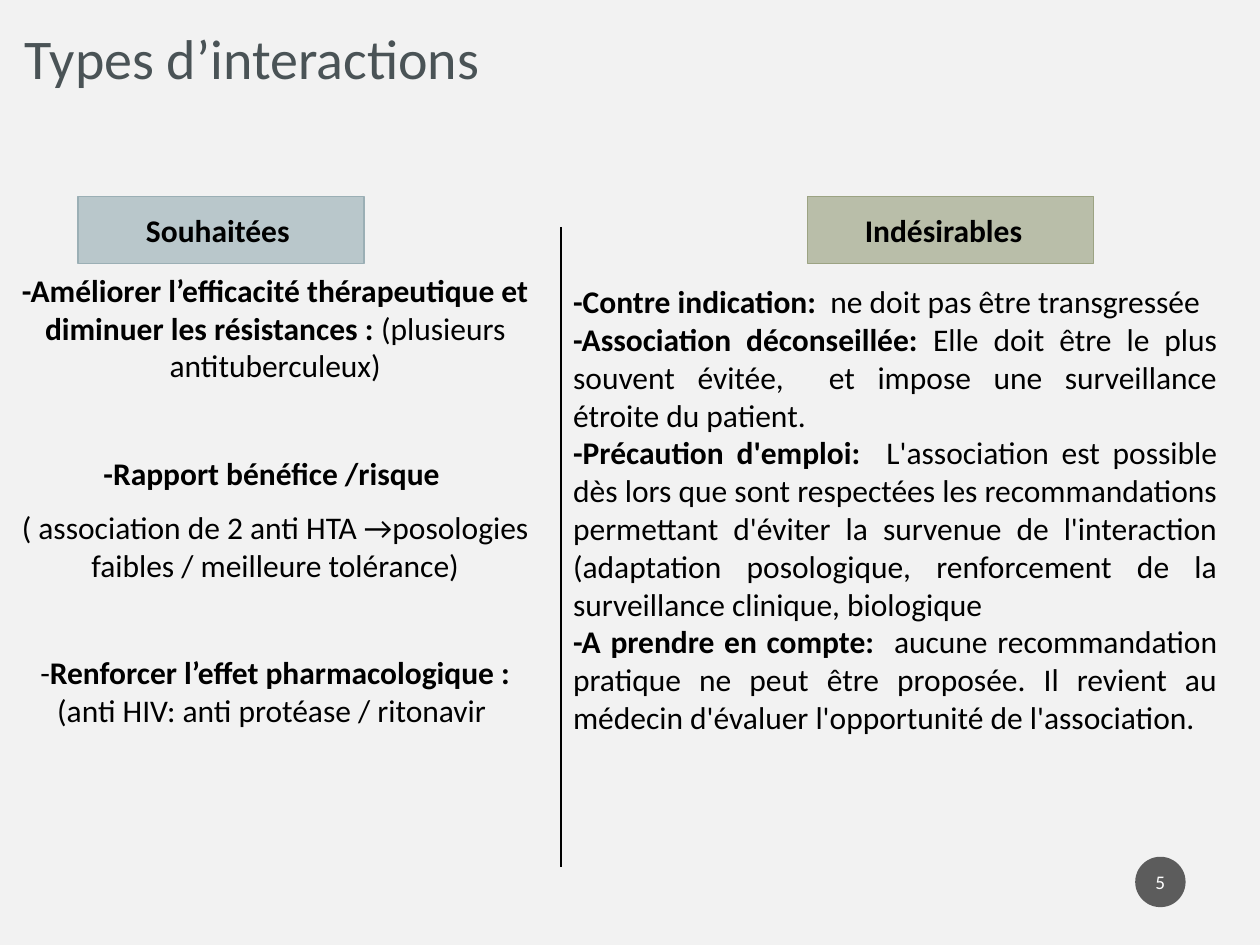
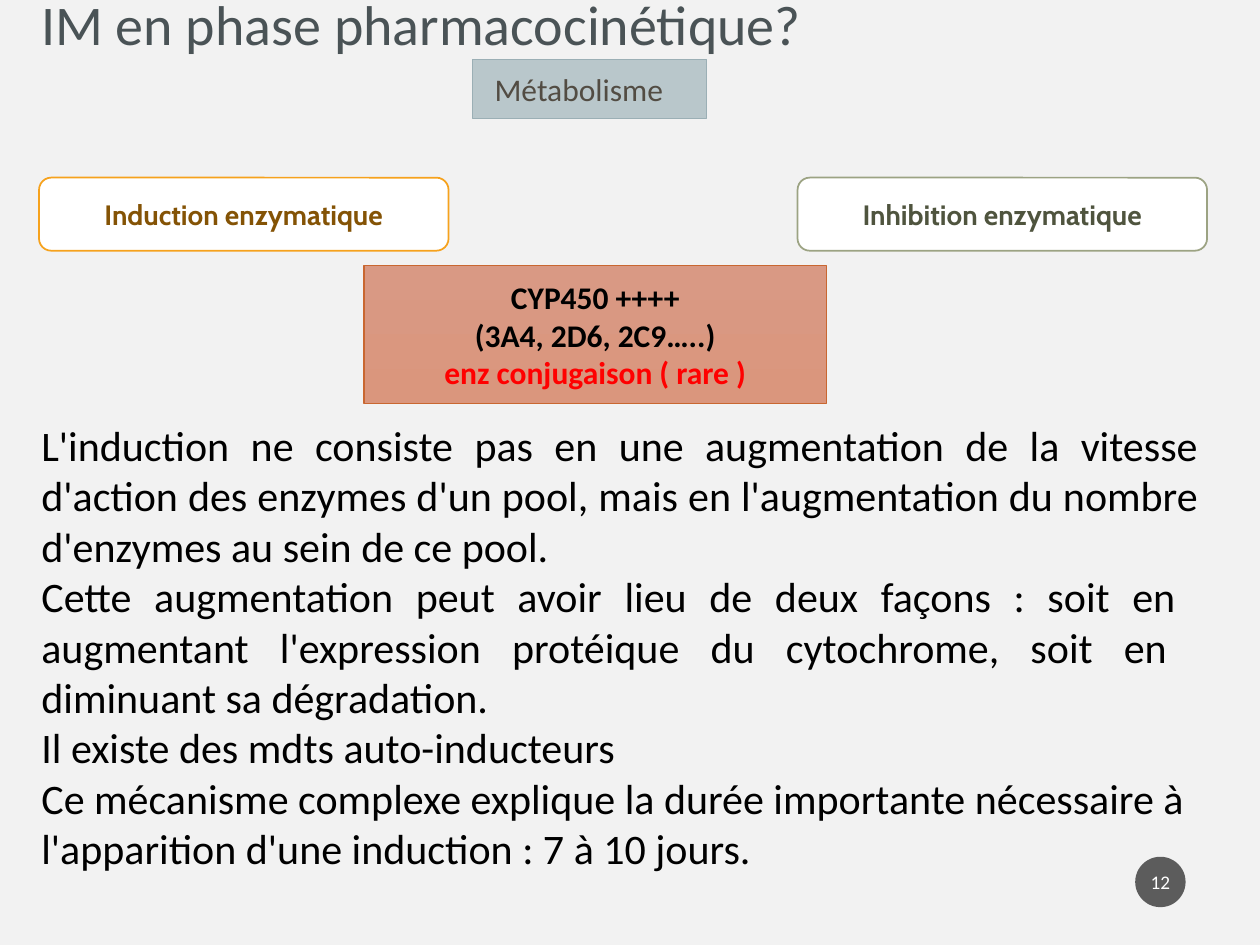
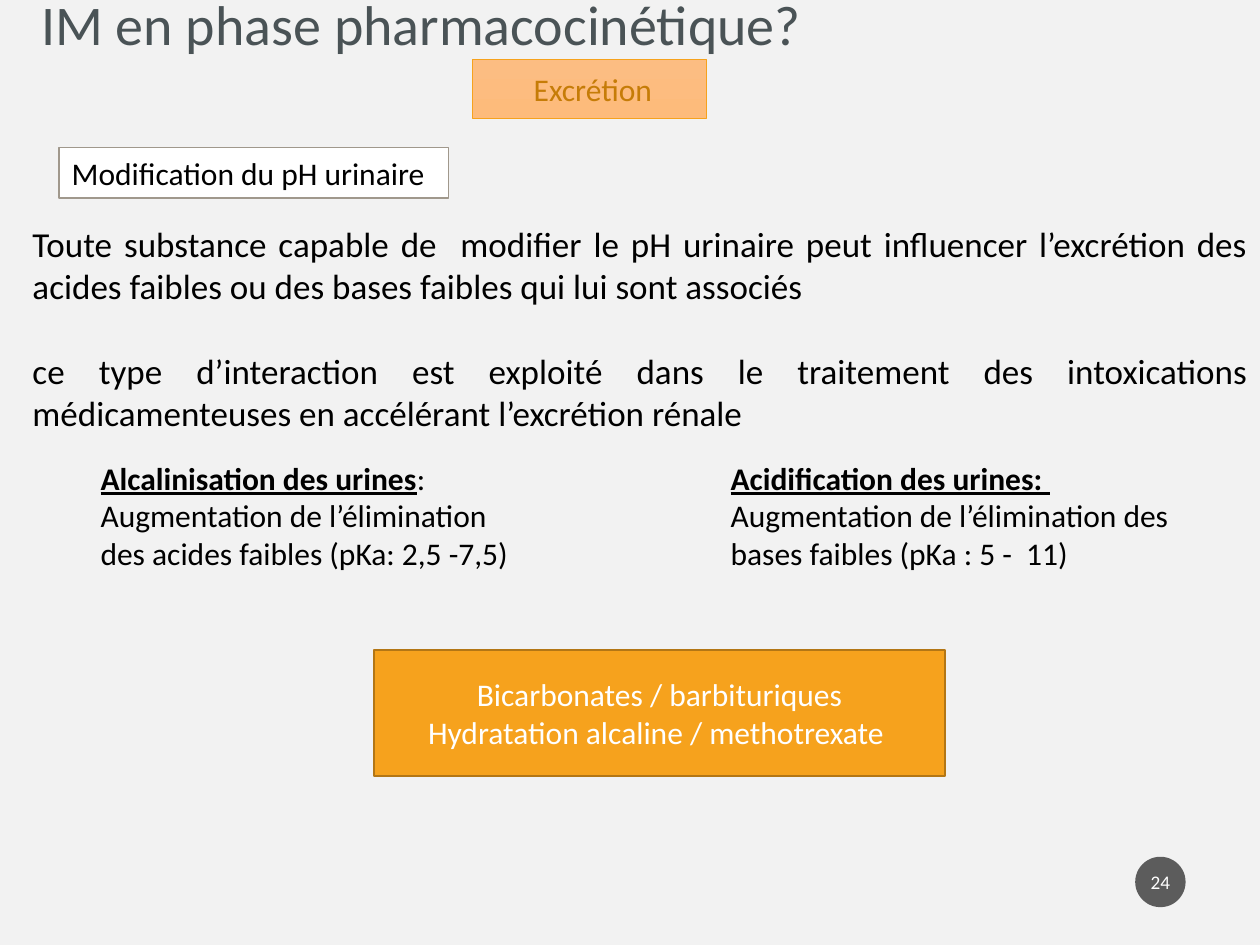
from pptx import Presentation
from pptx.util import Inches, Pt
from pptx.dml.color import RGBColor as Rgb
from pptx.enum.shapes import MSO_SHAPE as Shp, MSO_CONNECTOR as Con
from pptx.enum.text import PP_ALIGN as Al, MSO_ANCHOR as Anc
from pptx.oxml.ns import qn
from lxml import etree
from dataclasses import dataclass


@dataclass(frozen=True)
class Theme:
    font: str = "Calibri"
    alt: str = "Cabin"
    back: str = "F2F2F2"
    title: str = "4A5356"
    ink: str = "000000"
    white: str = "FFFFFF"
    badge: str = "1D1D1D"
    red: str = "FF0000"
    brown: str = "524C43"
    gold: str = "C67C07"
    head: int = 32
    large: int = 24
    mid: int = 20
    base: int = 18
    small: int = 16
    tiny: int = 11


T = Theme()

# Fill (one colour, or two for a gradient), line colour, line width
LOOKS = {
    "blue": (("B9C7CB", "B7C5C9"), "9BAFB5", 0.75),
    "olive": (("B9BEA9", "B7BCA6"), "9CA383", 0.75),
    "rust": (("D99984", "DA967D"), "C96731", 0.75),
    "peach": (("FCBD82", "FDBB7B"), "F6A21D", 0.75),
    "amber": (("F6A21D",), "B37615", 1),
    "paper": (("FFFFFF",), "A0988C", 1),
    "gold rim": (("FFFFFF",), "F6A21D", 1),
    "olive rim": (("FFFFFF",), "9CA383", 1),
}

# Content: a paragraph is a list of (text, style) runs; b bold, u underlined
WANTED = [
    [("-Améliorer l’efficacité thérapeutique et diminuer les résistances :", "b"),
     (" (plusieurs antituberculeux)", "")],
    [("-Rapport bénéfice /risque ", "b")],
    [("( association de 2 anti HTA →posologies faibles / meilleure tolérance)", "")],
    [("-", ""), ("Renforcer l’effet pharmacologique :", "b")],
    [("(anti HIV: anti protéase / ritonavir ", "")],
]
UNWANTED = [
    [("-Contre indication:  ", "b"), ("ne doit pas être transgressée ", "")],
    [("-Association déconseillée: ", "b"),
     ("Elle doit être le plus souvent évitée,  et impose une surveillance "
      "étroite du patient. ", "")],
    [("-Précaution d'emploi:  ", "b"),
     ("L'association est possible dès lors que sont respectées les "
      "recommandations permettant d'éviter la survenue de l'interaction "
      "(adaptation posologique, renforcement de la surveillance clinique, "
      "biologique ", "")],
    [("-A prendre en compte:  ", "b"),
     ("aucune recommandation pratique ne peut être proposée. Il revient au "
      "médecin d'évaluer l'opportunité de l'association. ", "")],
]
INDUCTION = [
    "L'induction ne consiste pas en une augmentation de la vitesse d'action des "
    "enzymes d'un pool, mais en l'augmentation du nombre d'enzymes au sein de ce pool. ",
    "Cette augmentation peut avoir lieu de deux façons : soit en  augmentant "
    "l'expression protéique du cytochrome, soit en  diminuant sa dégradation. ",
    "Il existe des mdts auto-inducteurs ",
    "Ce mécanisme complexe explique la durée importante nécessaire à "
    "l'apparition d'une induction : 7 à 10 jours.",
]
ENZYMES = ["CYP450 ++++", "(3A4, 2D6, 2C9…..)", "enz conjugaison ( rare )"]
URINE = [
    "Toute substance capable de  modifier le pH urinaire peut influencer "
    "l’excrétion des acides faibles ou des bases faibles qui lui sont associés",
    "ce type d’interaction est exploité dans le traitement des intoxications "
    "médicamenteuses en accélérant l’excrétion rénale",
]
ALKALI = [[("Alcalinisation des urines", "bu"),
           (": Augmentation de l’élimination des acides faibles (pKa: 2,5 -7,5)", "")]]
ACID = [[("Acidification des urines: ", "bu")],
        [("Augmentation de l’élimination des bases faibles (pKa : 5 -  11)", "")]]
DRUGS = ["Bicarbonates / barbituriques", "Hydratation alcaline / methotrexate "]
PHASE = "IM en phase pharmacocinétique?"

# Grid: 100 columns by 75 rows of square cells
deck = Presentation()
deck.slide_width, deck.slide_height = Inches(10), Inches(7.5)
CELL = deck.slide_width / 100
TAG = (37.5, 4.7, 18.6, 4.7)


def cells(*nums):
    return [round(n * CELL) for n in nums]


# Text
def write(shape, paras, size=T.base, color=T.ink, align=Al.LEFT, style="",
          font=T.font, anchor=Anc.TOP, gaps=(), pad=(1, 1)):
    frame = shape.text_frame
    frame.word_wrap = True
    frame.vertical_anchor = anchor
    frame.margin_left, frame.margin_right = cells(*pad)
    for i, runs in enumerate([paras] if isinstance(paras, str) else paras):
        para = frame.add_paragraph() if i else frame.paragraphs[0]
        para.alignment = align
        para.space_before = Pt(gaps[i] if gaps else 0)
        for text, look in [(runs, style)] if isinstance(runs, str) else runs:
            run = para.add_run()
            run.text = text
            face = run.font
            face.name, face.size = font, Pt(size)
            face.bold, face.underline = "b" in look, "u" in look
            face.color.rgb = Rgb.from_string(color)
    return frame


def note(slide, at, paras, **opts):
    return write(slide.shapes.add_textbox(*cells(*at)), paras, **opts)


# Filled shapes
def box(slide, at, look, paras, kind=Shp.RECTANGLE, align=Al.CENTER,
        anchor=Anc.MIDDLE, **opts):
    shape = slide.shapes.add_shape(kind, *cells(*at))
    shape.shadow.inherit = False
    tones, edge, width = LOOKS[look]
    if len(tones) > 1:
        shape.fill.gradient()
        shape.fill.gradient_angle = 270
        for stop, tone in zip(shape.fill.gradient_stops, tones):
            stop.color.rgb = Rgb.from_string(tone)
    else:
        shape.fill.solid()
        shape.fill.fore_color.rgb = Rgb.from_string(tones[0])
    shape.line.color.rgb = Rgb.from_string(edge)
    shape.line.width = Pt(width)
    return write(shape, paras, align=align, anchor=anchor, **opts)


def rule(slide, x, top, foot):
    line = slide.shapes.add_connector(Con.STRAIGHT, *cells(x, top, x, foot))
    line.line.color.rgb = Rgb.from_string(T.ink)
    line.line.width = Pt(1)
    etree.SubElement(line._element.spPr, qn("a:effectLst"))


# Shared page: background, title, round page number
def page(title, number, left, top):
    slide = deck.slides.add_slide(deck.slide_layouts[6])
    slide.background.fill.solid()
    slide.background.fill.fore_color.rgb = Rgb.from_string(T.back)
    note(slide, (left, top, 90, 10), title, size=T.head, color=T.title,
         anchor=Anc.BOTTOM)
    disc = slide.shapes.add_shape(Shp.OVAL, *cells(90.1, 68, 4, 4))
    disc.shadow.inherit = False
    disc.line.fill.background()
    disc.fill.solid()
    disc.fill.fore_color.rgb = Rgb.from_string(T.badge)
    tone = disc._element.spPr.find(".//" + qn("a:srgbClr"))
    etree.SubElement(tone, qn("a:alpha")).set("val", "70000")
    write(disc, str(number), size=T.tiny, color=T.white, align=Al.CENTER,
          anchor=Anc.MIDDLE, pad=(0.2, 0.2))
    return slide


def kinds():
    slide = page("Types d’interactions", 5, 1, -2.3)
    for x, look, name, right in ((6.2, "blue", "Souhaitées", 1.5),
                                 (64.1, "olive", "Indésirables", 2.1)):
        box(slide, (x, 15.6, 22.7, 5.3), look, name, style="b", pad=(1, right))
    rule(slide, 44.5, 18, 68.8)
    note(slide, (0, 21, 43.7, 51), WANTED, align=Al.CENTER,
         gaps=(0, 40, 9, 40, 0))
    note(slide, (44.5, 21.9, 53.1, 46.4), UNWANTED, align=Al.JUSTIFY)


def metabolism():
    slide = page(PHASE, 12, 2.3, -5)
    box(slide, TAG, "blue", "Métabolisme", color=T.brown, pad=(1, 2.7))
    frame = note(slide, (2.3, 32.8, 93.8, 37.4), INDUCTION, size=T.large,
                 align=Al.JUSTIFY)
    frame.paragraphs[-1].alignment = Al.LEFT
    for x, look, name, tone in (
            (3.1, "gold rim", "Induction enzymatique", "845305"),
            (63.3, "olive rim", "Inhibition enzymatique", "4F543E")):
        box(slide, (x, 14.1, 32.5, 5.8), look, name, kind=Shp.ROUNDED_RECTANGLE,
            size=T.small, color=tone, style="b", font=T.alt)
    frame = box(slide, (28.9, 21.1, 36.7, 10.9), "rust", ENZYMES, style="b")
    frame.paragraphs[-1].runs[0].font.color.rgb = Rgb.from_string(T.red)


def excretion():
    slide = page(PHASE, 24, 2.3, -5)
    box(slide, TAG, "peach", "Excrétion", color=T.gold, pad=(1.5, 1))
    box(slide, (4.7, 11.7, 30.9, 4), "paper", "Modification du pH urinaire",
        align=Al.LEFT, anchor=Anc.TOP)
    note(slide, (1.6, 17.2, 98.4, 20.9), URINE, size=T.mid, align=Al.JUSTIFY,
         gaps=(0, 24))
    for x, width, paras in ((7, 36.7, ALKALI), (57, 39.8, ACID)):
        note(slide, (x, 35.9, width, 10.1), paras)
    box(slide, (29.7, 51.6, 45.3, 10), "amber", DRUGS, color=T.white)


if __name__ == "__main__":
    kinds()
    metabolism()
    excretion()
    deck.save("out.pptx")
